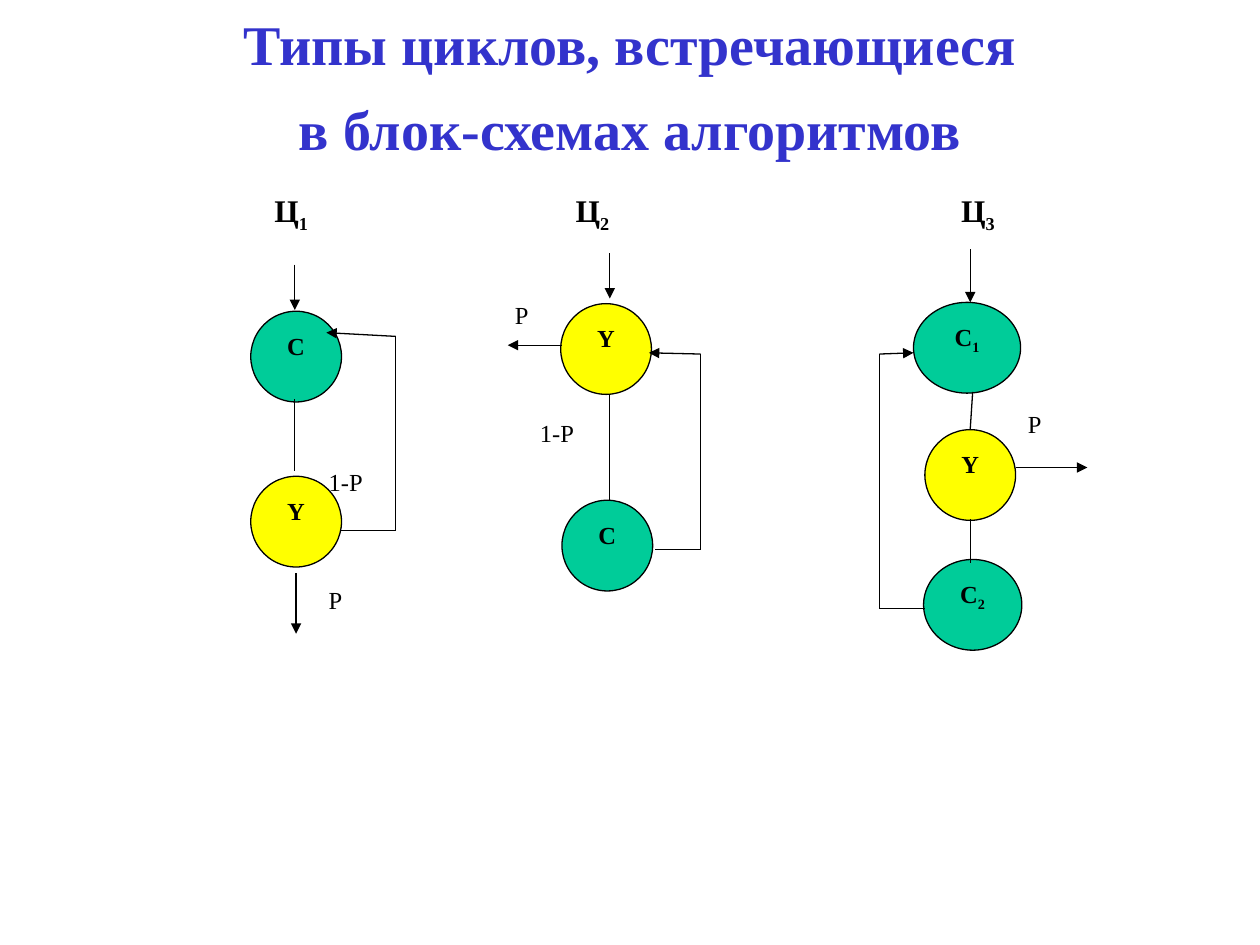
import pptx
import pptx.util
import pptx.dml.color
import pptx.enum.shapes
import pptx.enum.text
import pptx.oxml
import pptx.oxml.ns

Inches = pptx.util.Inches
Pt = pptx.util.Pt
RGB = pptx.dml.color.RGBColor.from_string
ALIGN = pptx.enum.text.PP_ALIGN
ANCHOR = pptx.enum.text.MSO_ANCHOR

COLORS = {"title": "3333CC", "ink": "000000", "action": "00CC99", "test": "FFFF00"}
FONT = "Times New Roman"
DIAMETER = 0.72


def add_run(p, text, size, bold=False, color="ink", sub=False):
    r = p.add_run()
    r.text = text
    for name, value in {"name": FONT, "size": Pt(size), "bold": bold}.items():
        setattr(r.font, name, value)
    r.font.color.rgb = RGB(COLORS[color])
    if sub:
        r.font._element.set("baseline", "-25000")


def set_frame(tf, anchor=ANCHOR.TOP):
    values = {
        "word_wrap": True,
        "auto_size": pptx.enum.text.MSO_AUTO_SIZE.NONE,
        "vertical_anchor": anchor,
        "margin_left": Inches(0.1),
        "margin_right": Inches(0.1),
        "margin_top": Inches(0.05),
        "margin_bottom": Inches(0.05),
    }
    for name, value in values.items():
        setattr(tf, name, value)


prs = pptx.Presentation()
prs.slide_width = Inches(10)
prs.slide_height = Inches(7.5)
slide = prs.slides.add_slide(prs.slide_layouts[5])

title = slide.shapes.title
place = {"left": 0.75, "top": 0.21, "width": 8.5, "height": 0.94}
for name, value in place.items():
    setattr(title, name, Inches(value))
tf = title.text_frame
set_frame(tf, ANCHOR.MIDDLE)
title_lines = ["Типы циклов, встречающиеся", "в блок-схемах алгоритмов"]
for i, text in enumerate(title_lines):
    p = tf.paragraphs[0] if i == 0 else tf.add_paragraph()
    p.alignment = ALIGN.CENTER
    p.space_before = Pt(10 * i)
    add_run(p, text, 32, True, "title")

labels = [
    ("Ц", "1", 2.08, 1.47, 0.7, 18, ALIGN.LEFT),
    ("Ц", "2", 4.47, 1.47, 0.7, 18, ALIGN.LEFT),
    ("Ц", "3", 7.53, 1.47, 0.7, 18, ALIGN.LEFT),
    ("1-Р", "", 2.51, 3.66, 0.94, 14, ALIGN.LEFT),
    ("Р", "", 2.51, 4.59, 0.7, 14, ALIGN.LEFT),
    ("Р", "", 3.9, 2.33, 0.48, 14, ALIGN.CENTER),
    ("1-Р", "", 4.06, 3.27, 0.72, 14, ALIGN.CENTER),
    ("Р", "", 8.06, 3.2, 0.72, 14, ALIGN.LEFT),
]
for text, index, x, y, w, size, align in labels:
    sp = slide.shapes.add_textbox(Inches(x), Inches(y), Inches(w), Inches(0.47))
    set_frame(sp.text_frame)
    p = sp.text_frame.paragraphs[0]
    p.alignment = align
    add_run(p, text, size, size == 18)
    if index:
        add_run(p, index, size, True, sub=True)

nodes = [
    ("С", "", 1.99, 2.47, DIAMETER, "action"),
    ("Y", "", 1.99, 3.78, DIAMETER, "test"),
    ("Y", "", 4.45, 2.41, DIAMETER, "test"),
    ("C", "", 4.46, 3.97, DIAMETER, "action"),
    ("С", "1", 7.25, 2.4, 0.85, "action"),
    ("Y", "", 7.34, 3.41, DIAMETER, "test"),
    ("С", "2", 7.33, 4.44, 0.78, "action"),
]
for text, index, x, y, w, fill in nodes:
    sp = slide.shapes.add_shape(
        pptx.enum.shapes.MSO_SHAPE.FLOWCHART_CONNECTOR,
        Inches(x), Inches(y), Inches(w), Inches(DIAMETER))
    sp.shadow.inherit = False
    sp.fill.solid()
    sp.fill.fore_color.rgb = RGB(COLORS[fill])
    sp.line.color.rgb = RGB(COLORS["ink"])
    sp.line.width = Pt(0.75)
    set_frame(sp.text_frame)
    p = sp.text_frame.paragraphs[0]
    p.alignment = ALIGN.CENTER
    add_run(p, text, 14, True)
    if index:
        add_run(p, index, 14, True, sub=True)

routes = [
    ([(2.34, 2.1), (2.34, 2.46)], True),
    ([(2.34, 3.17), (2.34, 3.74)], False),
    ([(2.35, 4.55), (2.35, 5.03)], True),
    ([(2.71, 4.21), (3.14, 4.21), (3.14, 2.67), (2.59, 2.64)], True),
    ([(4.84, 2.01), (4.84, 2.37)], True),
    ([(4.84, 3.13), (4.84, 3.97)], False),
    ([(4.46, 2.74), (4.03, 2.74)], True),
    ([(5.2, 4.36), (5.56, 4.36), (5.56, 2.81), (5.15, 2.8)], True),
    ([(7.7, 1.98), (7.7, 2.4)], True),
    ([(7.72, 3.11), (7.7, 3.41)], False),
    ([(7.7, 4.12), (7.7, 4.47)], False),
    ([(8.06, 3.71), (8.63, 3.71)], True),
    ([(7.34, 4.83), (6.98, 4.83), (6.98, 2.81), (7.25, 2.8)], True),
]
for points, arrow in routes:
    for start, end in zip(points, points[1:]):
        sp = slide.shapes.add_connector(
            pptx.enum.shapes.MSO_CONNECTOR.STRAIGHT,
            *[Inches(v) for v in start + end])
        sp.line.color.rgb = RGB(COLORS["ink"])
        sp.line.width = Pt(0.75)
        if arrow and end == points[-1]:
            tail = pptx.oxml.parse_xml(
                "<a:tailEnd %s type='triangle'/>" % pptx.oxml.ns.nsdecls("a"))
            sp.line._get_or_add_ln().append(tail)
        sp._element.spPr.append(pptx.oxml.parse_xml(
            "<a:effectLst %s/>" % pptx.oxml.ns.nsdecls("a")))

prs.save("out.pptx")
